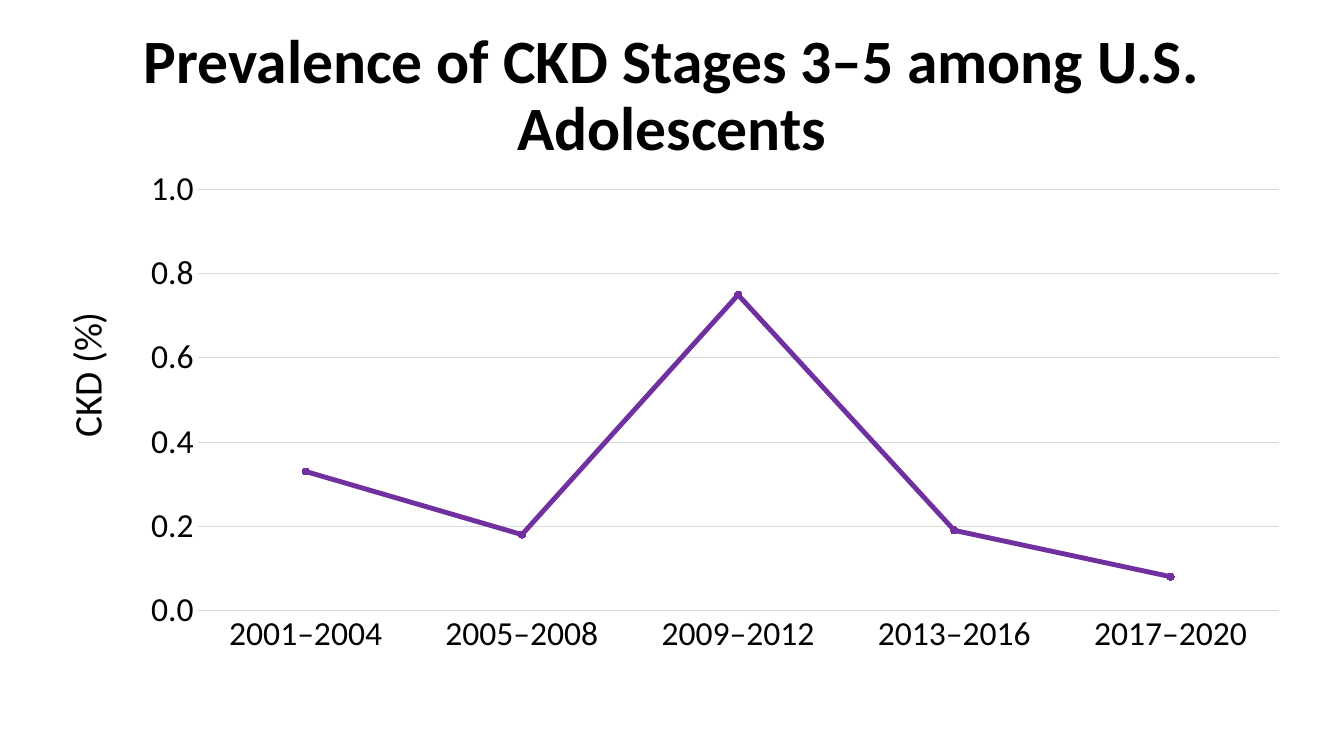
"""Build a slide with a line chart of CKD prevalence among U.S. adolescents."""
from dataclasses import dataclass

from lxml.etree import SubElement
from pptx import Presentation
from pptx.chart.data import CategoryChartData
from pptx.dml.color import RGBColor
from pptx.enum.chart import XL_CHART_TYPE, XL_MARKER_STYLE, XL_TICK_MARK
from pptx.enum.text import MSO_ANCHOR, PP_ALIGN
from pptx.oxml.ns import qn
from pptx.util import Cm, Pt


@dataclass(frozen=True)
class Theme:
    font: str = "Calibri"
    text: RGBColor = RGBColor(0x00, 0x00, 0x00)
    grid: RGBColor = RGBColor(0xD9, 0xD9, 0xD9)
    series: RGBColor = RGBColor(0x70, 0x30, 0xA0)
    title_size: int = 44
    axis_title_size: int = 28
    label_size: int = 24


@dataclass(frozen=True)
class Box:
    left: float
    top: float
    width: float
    height: float

    def lengths(self) -> tuple:
        return Cm(self.left), Cm(self.top), Cm(self.width), Cm(self.height)


@dataclass(frozen=True)
class Period:
    years: str
    percent: float


THEME = Theme()
TITLE_BOX = Box(2.33, 0.6, 29.21, 3.68)
CHART_BOX = Box(0.69, 3.94, 32.51, 12.93)
PERIODS = [
    Period("2001–2004", 0.33),
    Period("2005–2008", 0.18),
    Period("2009–2012", 0.75),
    Period("2013–2016", 0.19),
    Period("2017–2020", 0.08),
]


def style_font(font, size, bold=False):
    font.name, font.size, font.bold = THEME.font, Pt(size), bold
    font.color.rgb = THEME.text


def write_text(tf, text, *, size, bold=False, align=None, spacing=None):
    p = tf.paragraphs[0]
    p.alignment, p.line_spacing = align, spacing
    r = p.add_run()
    r.text = text
    style_font(r.font, size, bold)


def style_line(line, color, width):
    line.color.rgb = color
    line.width = Pt(width)


def set_layout(parent, **settings):
    """Place a chart part by fractions of the chart area."""
    layout = parent.find(qn("c:layout"))
    if layout is None:
        layout = SubElement(parent, qn("c:layout"))
        parent.remove(layout)
        text = parent.find(qn("c:tx"))
        parent.insert(0 if text is None else parent.index(text) + 1, layout)
    for child in list(layout):
        layout.remove(child)
    manual = SubElement(layout, qn("c:manualLayout"))
    for tag, value in settings.items():
        SubElement(manual, qn(f"c:{tag}")).set("val", str(value))


def add_title(s, box: Box, text: str):
    sp = s.shapes.add_textbox(*box.lengths())
    tf = sp.text_frame
    tf.word_wrap = True
    tf.vertical_anchor = MSO_ANCHOR.MIDDLE
    write_text(tf, text, size=THEME.title_size, bold=True,
               align=PP_ALIGN.CENTER, spacing=0.9)


def style_axes(chart):
    for axis in (chart.category_axis, chart.value_axis):
        axis.major_tick_mark = axis.minor_tick_mark = XL_TICK_MARK.NONE
        style_font(axis.tick_labels.font, THEME.label_size)
    style_line(chart.category_axis.format.line, THEME.grid, 0.75)

    axis = chart.value_axis
    axis.minimum_scale, axis.maximum_scale, axis.major_unit = 0, 1, 0.2
    axis.tick_labels.number_format = "0.0"
    axis.tick_labels.number_format_is_linked = False
    axis.format.line.fill.background()
    style_line(axis.major_gridlines.format.line, THEME.grid, 0.75)
    title = axis.axis_title
    write_text(title.text_frame, "CKD (%)", size=THEME.axis_title_size)
    body = title.text_frame._txBody.find(qn("a:bodyPr"))
    body.set("rot", "-5400000")
    body.set("vert", "horz")
    set_layout(title._element, xMode="edge", yMode="edge", x=0.02, y=0.29)


def add_line_chart(s, box: Box, periods: list[Period]):
    data = CategoryChartData(number_format="0.00")
    data.categories = [period.years for period in periods]
    data.add_series("Series 1", [period.percent for period in periods])
    chart = s.shapes.add_chart(
        XL_CHART_TYPE.LINE_MARKERS, *box.lengths(), data).chart
    chart.has_legend = chart.has_title = False
    style_font(chart.font, 10)
    style_axes(chart)

    plot = chart.plots[0]
    plot.vary_by_categories = False
    series = plot.series[0]
    series.smooth = False
    style_line(series.format.line, THEME.series, 3.5)
    marker = series.marker
    marker.style, marker.size = XL_MARKER_STYLE.CIRCLE, 5
    marker.format.fill.solid()
    marker.format.fill.fore_color.rgb = THEME.series
    style_line(marker.format.line, THEME.series, 0.75)

    area = chart._chartSpace.find(f".//{qn('c:plotArea')}")
    set_layout(area, layoutTarget="inner", xMode="edge", yMode="edge",
               x=0.132, y=0.065, w=0.838, h=0.82)


def main():
    prs = Presentation()
    prs.slide_width, prs.slide_height = Cm(33.87), Cm(19.05)
    s = prs.slides.add_slide(prs.slide_layouts[6])
    add_title(s, TITLE_BOX, "Prevalence of CKD Stages 3–5 among U.S. Adolescents")
    add_line_chart(s, CHART_BOX, PERIODS)
    prs.save("out.pptx")


main()
